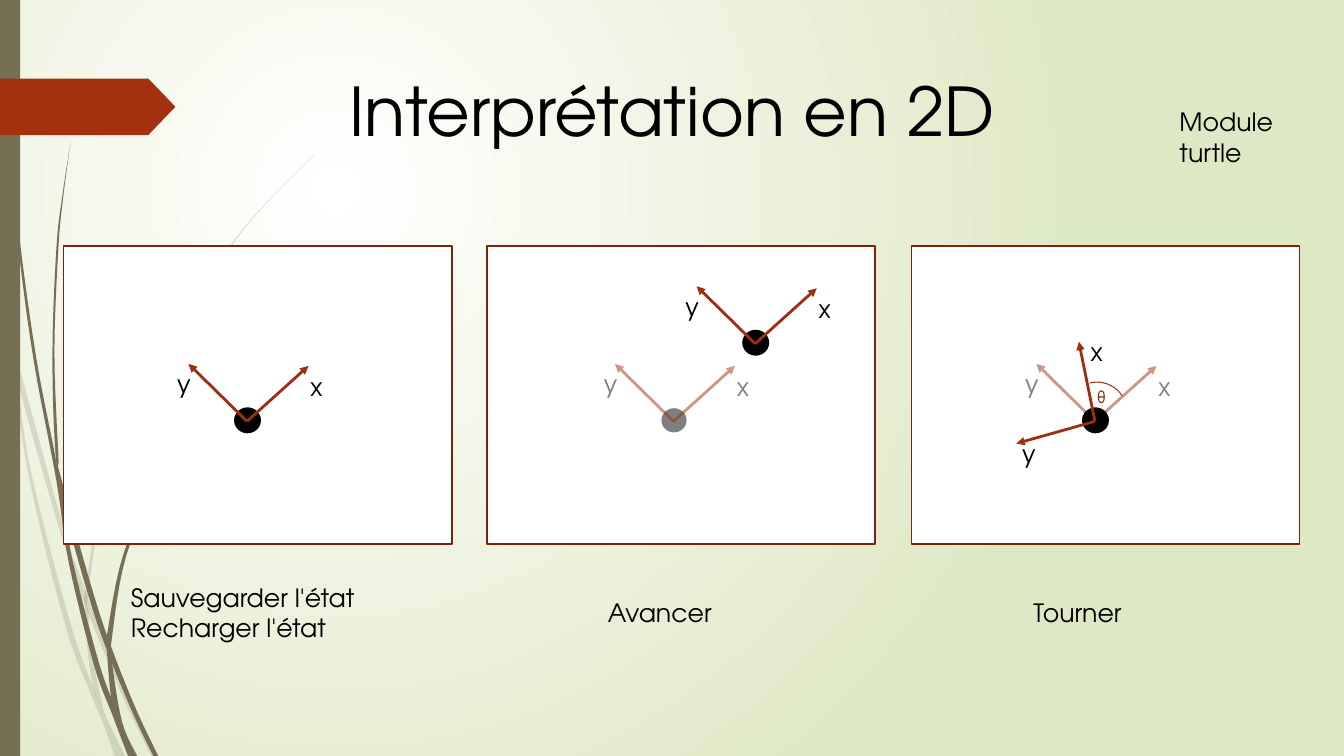
from lxml.etree import SubElement
from pptx import Presentation
from pptx.dml.color import RGBColor
from pptx.enum.shapes import MSO_CONNECTOR, MSO_SHAPE
from pptx.oxml.ns import qn
from pptx.util import Pt

PX = 9144  # 100 px to the inch
SLIDE = (1333, 750)
FONT = "TeX Gyre Adventor"
COLORS = {
    "black": "000000", "white": "FFFFFF", "grey": "808080", "olive": "766F54",
    "pale": "DFE8C4", "tag": "A53010", "axis": "9E2E0F", "border": "7A240C", "angle": "7C240C",
}
FADE = 50

# Headings: lines, left, top, width, height, size
HEADINGS = [
    (["Interprétation en 2D"], 337, 64, 809, 91, 48),
    (["Module turtle"], 1160, 101, 167, 71, 18),
]

# Axis label: arrow tip offset, label offset, both from the origin
UPRIGHT = {"x": ((61, -55), (53, -55)), "y": ((-58, -57), (-79, -57))}
TURNED = {"x": ((-16, -79), (-14, -89)), "y": ((-78, 22), (-82, 12))}

# Panels: left, caption lines, caption left and top, turtle states (origin, axes, faded)
PANELS = [
    (63, ["Sauvegarder l'état", "Recharger l'état"], 120, 573,
     [((245, 418), UPRIGHT, False)]),
    (483, ["Avancer"], 593, 588,
     [((668, 418), UPRIGHT, True), ((749, 341), UPRIGHT, False)]),
    (904, ["Tourner"], 1015, 588,
     [((1086, 418), UPRIGHT, True), ((1086, 418), TURNED, False)]),
]
PANEL_TOP, PANEL_SIZE = 244, (385, 296)
ANGLE_ARC = {"box": (1059, 379, 59, 60), "rotation": 326.6, "start": 173.11}
ANGLE_LABEL = ("θ", 1078, 379)

# Grass blades: left edge and right edge, both from tip to root
PALE_BLADES = [
    ([(0, 282), (11, 350), (28, 470), (65, 621), (92, 693), (101, 714), (114, 750)],
     [(0, 282), (9, 322), (17, 376), (31, 469), (70, 619), (93, 683), (105, 711), (124, 750)]),
    ([(14, 345), (17, 376), (58, 522), (84, 599), (88, 610), (123, 694), (150, 750)],
     [(14, 345), (62, 520), (85, 586), (92, 607), (127, 692), (155, 750)]),
    ([(312, 153), (268, 197), (228, 244), (158, 348), (107, 461), (85, 584), (84, 599),
      (87, 646), (93, 683), (105, 711)],
     [(312, 154), (268, 198), (229, 245), (160, 349), (110, 462), (88, 584), (88, 610),
      (91, 646), (103, 706), (105, 711)]),
]
DARK_BLADES = [
    ([(3, 0), (4, 48), (7, 110), (17, 233), (33, 355), (56, 477), (68, 557), (93, 659),
      (111, 708), (127, 750)],
     [(4, 0), (5, 48), (8, 109), (19, 232), (36, 355), (55, 453), (64, 505), (72, 556),
      (98, 657), (116, 706), (133, 750)]),
    ([(70, 141), (62, 193), (56, 245), (52, 349), (55, 449), (64, 505), (88, 592),
      (106, 645), (132, 708), (152, 750)],
     [(70, 141), (63, 193), (58, 245), (54, 349), (58, 453), (60, 472), (93, 590),
      (113, 649), (136, 706), (157, 750)]),
    ([(260, 344), (231, 373), (204, 405), (156, 474), (122, 551), (106, 631), (106, 645),
      (110, 691), (117, 722), (131, 750)],
     [(261, 344), (231, 374), (205, 406), (158, 476), (125, 552), (111, 633), (111, 656),
      (121, 716), (136, 750)]),
]


def rgb(name):
    return RGBColor.from_string(COLORS[name])


def px(*lengths):
    return [round(length * PX) for length in lengths]


def set_alpha(shape, percent):
    for color in shape.element.spPr.iter(qn("a:srgbClr")):
        SubElement(color, qn("a:alpha"), val=str(percent * 1000))


def paint(shape, fill=None, line=None, weight=1.25):
    shape.shadow.inherit = False
    if fill:
        shape.fill.solid()
        shape.fill.fore_color.rgb = rgb(fill)
    else:
        shape.fill.background()
    if line:
        shape.line.color.rgb = rgb(line)
        shape.line.width = Pt(weight)
    else:
        shape.line.fill.background()
    return shape


def add_preset(preset, box, **style):
    return paint(shapes.add_shape(preset, *px(*box)), **style)


def add_text(lines, left, top, width=40, height=40, size=18, color="black"):
    frame = shapes.add_textbox(*px(left, top, width, height)).text_frame
    frame.word_wrap = True
    frame.text = "\n".join(lines)
    for paragraph in frame.paragraphs:
        for attribute, value in {"name": FONT, "size": Pt(size)}.items():
            setattr(paragraph.font, attribute, value)
        paragraph.font.color.rgb = rgb(color)


def smooth(points, steps=6):
    """Catmull-Rom curve through the points."""
    padded = [points[0], *points, points[-1]]
    curve = [points[0]]
    for a, b, c, d in zip(padded, padded[1:], padded[2:], padded[3:]):
        for t in (step / steps for step in range(1, steps + 1)):
            curve.append(tuple(
                q + ((r - p) * t + (2 * p - 5 * q + 4 * r - s) * t ** 2
                     + (3 * q - p - 3 * r + s) * t ** 3) / 2
                for p, q, r, s in zip(a, b, c, d)))
    return curve


def add_blade(left_edge, right_edge):
    outline = [px(*point) for point in smooth(left_edge) + smooth(right_edge)[::-1]]
    builder = shapes.build_freeform(*outline[0], scale=1.0)
    builder.add_line_segments(outline[1:], close=True)
    return paint(builder.convert_to_shape(), fill="olive")


def add_arrow(start, end):
    arrow = shapes.add_connector(MSO_CONNECTOR.STRAIGHT, *px(*start, *end))
    arrow.line.color.rgb = rgb("axis")
    arrow.line.width = Pt(2)
    SubElement(arrow.line._get_or_add_ln(), qn("a:tailEnd"), type="triangle")
    SubElement(arrow.element.spPr, qn("a:effectLst"))
    return arrow


def add_turtle(origin, axes, faded):
    x, y = origin
    parts = [add_preset(MSO_SHAPE.OVAL, (x - 12, y - 13, 25, 24), fill="black",
                        line=None if faded else "black")]
    for label, ((tip_x, tip_y), (label_x, label_y)) in axes.items():
        parts.append(add_arrow(origin, (x + tip_x, y + tip_y)))
        add_text([label], x + label_x, y + label_y, color="grey" if faded else "black")
    if faded:
        for part in parts:
            set_alpha(part, FADE)


prs = Presentation()
prs.slide_width, prs.slide_height = px(*SLIDE)
slide = prs.slides.add_slide(prs.slide_layouts[6])
shapes = slide.shapes

backdrop = slide.background.fill
backdrop.gradient()
for stop, name in zip(backdrop.gradient_stops, ("white", "pale")):
    stop.color.rgb = rgb(name)
gradient = next(slide.element.iter(qn("a:gradFill")))
gradient.remove(gradient.find(qn("a:lin")))
circle = SubElement(gradient, qn("a:path"), path="circle")
SubElement(circle, qn("a:fillToRect"), l="50000", t="50000", r="100000", b="100000")

for edges in PALE_BLADES:
    set_alpha(add_blade(*edges), 20)
for edges in DARK_BLADES:
    add_blade(*edges)
add_preset(MSO_SHAPE.RECTANGLE, (0, 0, 20, 750), fill="olive")
tag = add_preset(MSO_SHAPE.PENTAGON, (0, 78, 174, 56), fill="tag")
tag.adjustments[0] = 0.48

for heading in HEADINGS:
    add_text(*heading)

for left, caption, caption_left, caption_top, turtles in PANELS:
    add_preset(MSO_SHAPE.RECTANGLE, (left, PANEL_TOP, *PANEL_SIZE), fill="white", line="border")
    for turtle in turtles:
        add_turtle(*turtle)
    add_text(caption, caption_left, caption_top, 311, 10 + 30 * len(caption))

arc = add_preset(MSO_SHAPE.ARC, ANGLE_ARC["box"], line="axis", weight=0.75)
arc.rotation = ANGLE_ARC["rotation"]
arc.adjustments[0] = ANGLE_ARC["start"]
angle, angle_left, angle_top = ANGLE_LABEL
add_text([angle], angle_left, angle_top, height=30, size=12, color="angle")

prs.save("out.pptx")
